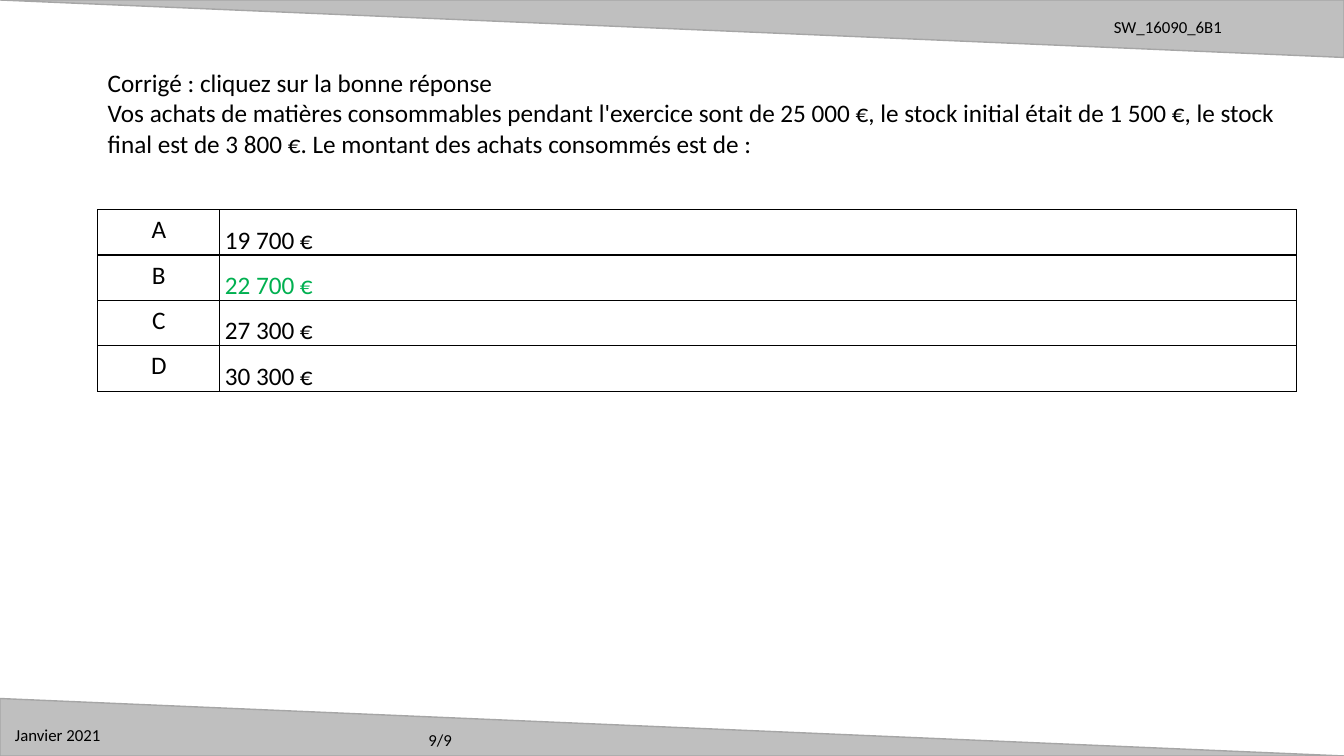
from dataclasses import dataclass

from lxml.etree import SubElement
from pptx import Presentation
from pptx.dml.color import RGBColor
from pptx.enum.shapes import MSO_SHAPE
from pptx.enum.text import PP_ALIGN
from pptx.oxml.ns import qn
from pptx.util import Inches, Pt


@dataclass(frozen=True)
class Theme:
    font: str = "Calibri"
    ink: RGBColor = RGBColor(0, 0, 0)
    paper: RGBColor = RGBColor(0xFF, 0xFF, 0xFF)
    band: RGBColor = RGBColor(0xBF, 0xBF, 0xBF)
    band_edge: RGBColor = RGBColor(0xA6, 0xA6, 0xA6)
    correct: RGBColor = RGBColor(0x00, 0xB0, 0x50)
    body: int = 18
    small: int = 12


class QuizSlide:
    def __init__(self, slide, theme):
        self.slide = slide
        self.theme = theme

    def band(self, top, rotation=0):
        """Draw a full-width sloping wedge."""
        sp = self.slide.shapes.add_shape(
            MSO_SHAPE.ISOSCELES_TRIANGLE,
            Inches(0), Inches(top), Inches(13.33), Inches(0.57))
        sp.adjustments[0] = 0
        sp.rotation = rotation
        sp.shadow.inherit = False
        sp.fill.solid()
        sp.fill.fore_color.rgb = self.theme.band
        sp.line.color.rgb = self.theme.band_edge
        sp.line.width = Pt(1)

    def run(self, p, text, size, color=None):
        r = p.add_run()
        r.text = text
        r.font.name = self.theme.font
        r.font.size = Pt(size)
        r.font.color.rgb = color or self.theme.ink

    def text(self, left, top, width, height, lines, size):
        sp = self.slide.shapes.add_textbox(
            Inches(left), Inches(top), Inches(width), Inches(height))
        tf = sp.text_frame
        tf.word_wrap = True
        for i, line in enumerate(lines):
            p = tf.add_paragraph() if i else tf.paragraphs[0]
            self.run(p, line, size)

    def borders(self, cell):
        tc_pr = cell._tc.get_or_add_tcPr()
        for i, side in enumerate(("lnL", "lnR", "lnT", "lnB")):
            ln = tc_pr.makeelement(qn(f"a:{side}"), {"w": str(Pt(1))})
            fill = SubElement(ln, qn("a:solidFill"))
            SubElement(fill, qn("a:srgbClr"), val=str(self.theme.ink))
            tc_pr.insert(i, ln)

    def answers(self, left, top, widths, row_height, options, correct):
        """Tabulate the lettered options, the correct one in its own colour."""
        frame = self.slide.shapes.add_table(
            len(options), len(widths), Inches(left), Inches(top),
            Inches(sum(widths)), Inches(row_height * len(options)))
        table = frame.table
        table.first_row = table.horz_banding = False
        for col, width in zip(table.columns, widths):
            col.width = Inches(width)
        for row, (letter, amount) in zip(table.rows, options.items()):
            row.height = Inches(row_height)
            for cell in row.cells:
                cell.fill.solid()
                cell.fill.fore_color.rgb = self.theme.paper
                self.borders(cell)
            label, value = row.cells
            p = label.text_frame.paragraphs[0]
            p.alignment = PP_ALIGN.CENTER
            self.run(p, letter, self.theme.body)
            value.margin_left = value.margin_right = Inches(0.05)
            value.margin_top = value.margin_bottom = Inches(0)
            p = value.text_frame.paragraphs[0]
            p.line_spacing = 1.5
            p.space_before = p.space_after = Pt(6)
            color = self.theme.correct if letter == correct else None
            self.run(p, amount, self.theme.body, color)


def main():
    prs = Presentation()
    prs.slide_width = Inches(13.33)
    prs.slide_height = Inches(7.5)
    theme = Theme()
    s = QuizSlide(prs.slides.add_slide(prs.slide_layouts[6]), theme)

    s.band(0, rotation=180)
    s.band(6.93)
    s.text(4.15, 7.19, 3.38, 0.3, ["9/9"], theme.small)
    s.text(10.95, 0.12, 2.34, 0.3, ["SW_16090_6B1"], theme.small)
    s.text(0.05, 7.14, 1.38, 0.3, ["Janvier 2021"], theme.small)
    s.text(0.97, 0.62, 11.95, 1.01, [
        "Corrigé : cliquez sur la bonne réponse",
        "Vos achats de matières consommables pendant l'exercice sont de "
        "25 000 €, le stock initial était de 1 500 €, le stock final est de "
        "3 800 €. Le montant des achats consommés est de :",
    ], theme.body)
    s.answers(0.97, 2.08, (1.21, 10.68), 0.41, {
        "A": "19 700 €",
        "B": "22 700 €",
        "C": "27 300 €",
        "D": "30 300 €",
    }, correct="B")
    prs.save("out.pptx")


if __name__ == "__main__":
    main()
